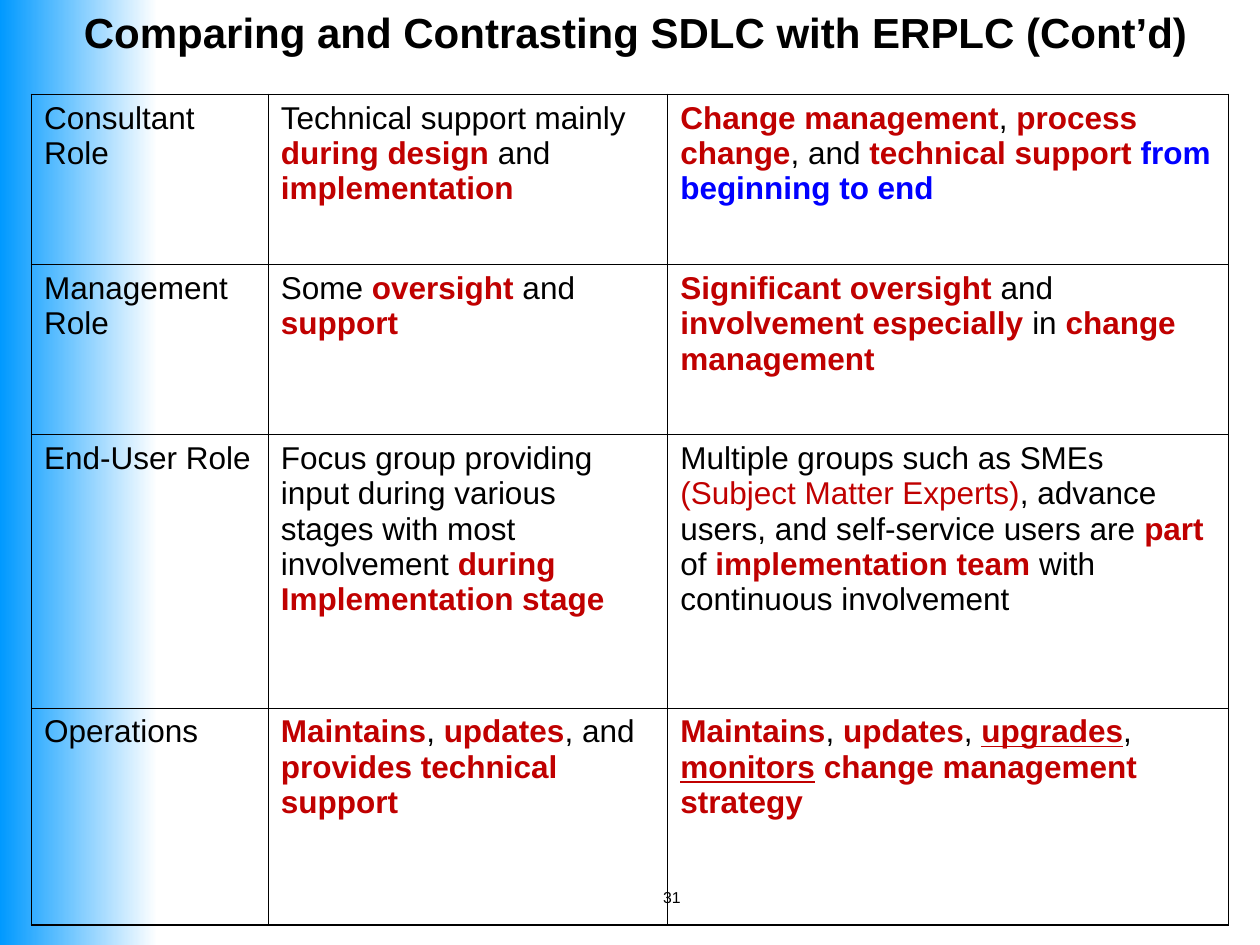
from lxml.etree import SubElement
from pptx import Presentation
from pptx.dml.color import RGBColor
from pptx.enum.shapes import MSO_SHAPE
from pptx.enum.text import MSO_ANCHOR, PP_ALIGN
from pptx.oxml.ns import qn
from pptx.util import Inches, Pt

BLACK = RGBColor(0, 0, 0)
WHITE = RGBColor(255, 255, 255)
RED = RGBColor(0xC0, 0, 0)
BLUE = RGBColor(0, 0, 0xFF)
SKY = RGBColor(0, 0x99, 0xFF)

# Run styles: colour, bold, underline
PLAIN = (BLACK, False, False)
TINT = (RED, False, False)
KEY = (RED, True, False)
LINE = (RED, True, True)
SPAN = (BLUE, True, False)
HEAD = (BLACK, True, False)

COLS = [1.88, 3.17, 4.45]
ROWS = [1.35, 1.35, 2.17, 1.72]
CELLS = [
    [
        [("Consultant Role", PLAIN)],
        [("Technical support mainly ", PLAIN), ("during design", KEY),
         (" and ", PLAIN), ("implementation", KEY)],
        [("Change management", KEY), (", ", PLAIN), ("process change", KEY),
         (", and ", PLAIN), ("technical support ", KEY),
         ("from beginning to end", SPAN)],
    ],
    [
        [("Management Role", PLAIN)],
        [("Some ", PLAIN), ("oversight", KEY), (" and ", PLAIN),
         ("support", KEY)],
        [("Significant oversight", KEY), (" and ", PLAIN),
         ("involvement especially", KEY), (" in ", PLAIN),
         ("change management", KEY)],
    ],
    [
        [("End-User Role", PLAIN)],
        [("Focus group providing input during various stages with most "
          "involvement ", PLAIN), ("during Implementation stage", KEY)],
        [("Multiple groups such as SMEs ", PLAIN),
         ("(Subject Matter Experts)", TINT),
         (", advance users, and self-service users are ", PLAIN),
         ("part", KEY), (" of ", PLAIN), ("implementation team", KEY),
         (" with continuous involvement", PLAIN)],
    ],
    [
        [("Operations", PLAIN)],
        [("Maintains", KEY), (", ", PLAIN), ("updates", KEY),
         (", and ", PLAIN), ("provides technical support", KEY)],
        [("Maintains", KEY), (", ", PLAIN), ("updates", KEY), (", ", PLAIN),
         ("upgrades", LINE), (", ", PLAIN), ("monitors", LINE), (" ", PLAIN),
         ("change management strategy", KEY)],
    ],
]


def add_runs(para, runs, size):
    for text, (color, bold, under) in runs:
        run = para.add_run()
        run.text = text
        font = run.font
        font.name, font.size = "Arial", Pt(size)
        font.bold, font.underline = bold, under
        font.color.rgb = color


def add_edge(props, side, width):
    """Draw one black border of a cell; must come before the cell's fill."""
    edge = SubElement(props, qn("a:" + side), w=str(Pt(width)))
    fill = SubElement(edge, qn("a:solidFill"))
    SubElement(fill, qn("a:srgbClr"), val=str(BLACK))


deck = Presentation()
deck.slide_width, deck.slide_height = Inches(10), Inches(7.5)
wide, high = deck.slide_width, deck.slide_height
slide = deck.slides.add_slide(deck.slide_layouts[5])
slide.background.fill.solid()
slide.background.fill.fore_color.rgb = WHITE

# Title
title = slide.shapes.title
title.left, title.top = Inches(0.42), 0
title.width, title.height = Inches(9.25), Inches(0.5)
title.text_frame.vertical_anchor = MSO_ANCHOR.MIDDLE
para = title.text_frame.paragraphs[0]
para.alignment = PP_ALIGN.CENTER
add_runs(para, [("Comparing and Contrasting SDLC with ERPLC (Cont’d)", HEAD)], 24)

# Fading band along the left edge, behind everything
band = slide.shapes.add_shape(MSO_SHAPE.RECTANGLE, 0, 0, wide // 8, high)
band.shadow.inherit = False
band.line.fill.background()
band.fill.gradient()
band.fill.gradient_angle = 0
for stop, color, place in zip(band.fill.gradient_stops, (SKY, WHITE), (0, 1)):
    stop.color.rgb = color
    stop.position = place
title._element.addprevious(band._element)

# Page number
page = slide.shapes.add_textbox(Inches(3.17), Inches(7), Inches(2.33), Inches(0.52))
page.text_frame.word_wrap = True
para = page.text_frame.paragraphs[0]
para.alignment = PP_ALIGN.RIGHT
add_runs(para, [("31", PLAIN)], 9)

# Comparison table
table = slide.shapes.add_table(
    len(ROWS), len(COLS), Inches(0.25), Inches(0.75),
    Inches(sum(COLS)), Inches(sum(ROWS))).table
table.first_row = table.horz_banding = False
for col, width in zip(table.columns, COLS):
    col.width = Inches(width)
for row, height in zip(table.rows, ROWS):
    row.height = Inches(height)

for r, row in enumerate(CELLS):
    for c, runs in enumerate(row):
        cell = table.cell(r, c)
        para = cell.text_frame.paragraphs[0]
        para.space_before = Pt(4.5)
        add_runs(para, runs, 18)
        props = cell._tc.get_or_add_tcPr()
        outer = {"lnL": c == 0, "lnR": c == len(COLS) - 1,
                 "lnT": r == 0, "lnB": r == len(ROWS) - 1}
        for side, edge in outer.items():
            add_edge(props, side, 1.08 if edge else 0.45)
        cell.fill.background()

deck.save("out.pptx")
